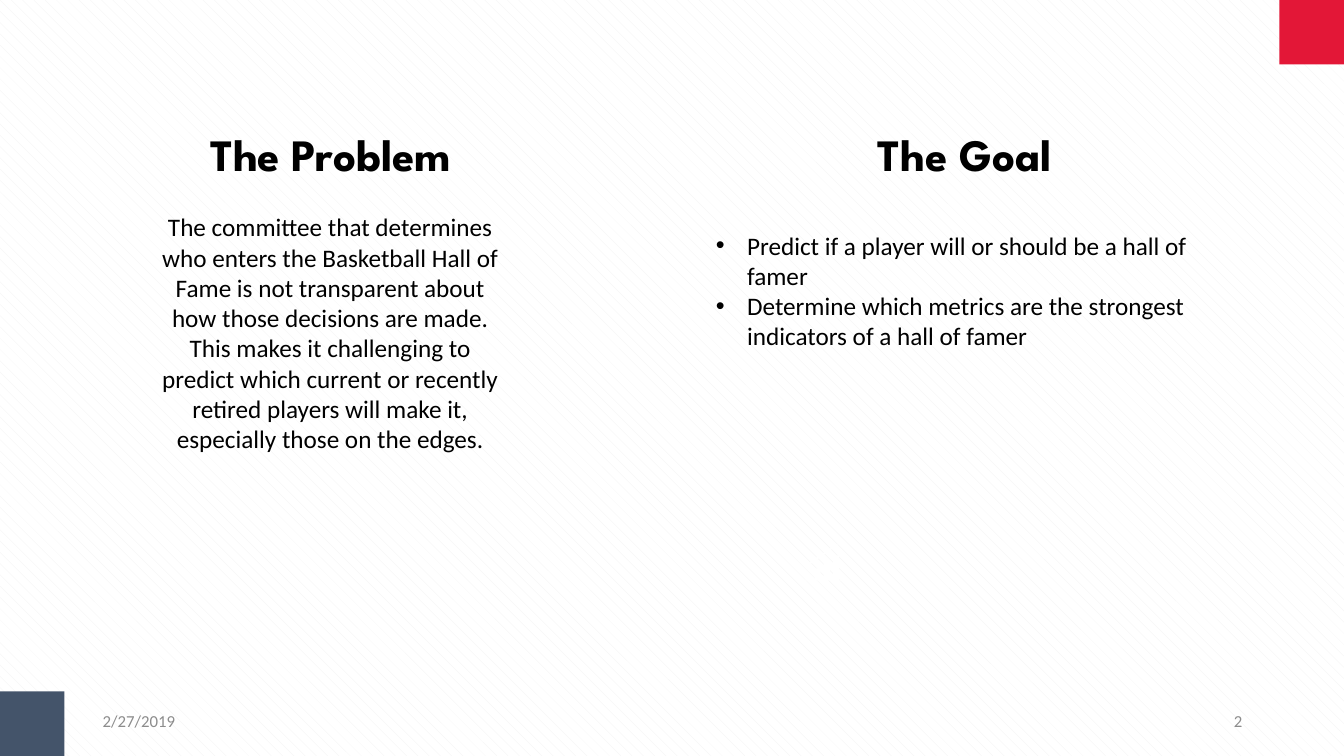
import pptx
import pptx.dml.color
import pptx.enum.dml
import pptx.enum.shapes
import pptx.enum.text
import pptx.oxml
import pptx.oxml.ns
import pptx.util
from dataclasses import dataclass

Inches = pptx.util.Inches
ALIGN = pptx.enum.text.PP_ALIGN
ANCHOR = pptx.enum.text.MSO_ANCHOR

PROBLEM = (
    "The committee that determines who enters the Basketball Hall of Fame is not "
    "transparent about how those decisions are made. This makes it challenging to "
    "predict which current or recently retired players will make it, especially "
    "those on the edges."
)
GOALS = [
    "Predict if a player will or should be a hall of famer",
    "Determine which metrics are the strongest indicators of a hall of famer",
]
# Placeholder index, left, heading
HEADINGS = [(0, 1.67, "The Problem"), (3, 7.96, "The Goal")]
# Placeholder index, (left, top, width, height), paragraphs, bulleted
BODIES = [
    (2, (1.6, 2.1, 3.35, 2.42), [PROBLEM], False),
    (4, (7.1, 2.28, 4.94, 1.21), GOALS, True),
]
FOOTERS = [(0.92, "2/27/2019", ALIGN.LEFT), (9.42, "2", ALIGN.RIGHT)]
SLIDE_WIDTH, SLIDE_HEIGHT = 13.33, 7.5
CORNER_SIZE = 0.64
BULLET_INDENT = 0.31

# Growth icon: a rising arrow above four bars on a baseline
ARROW = [
    (8.01, 5.6), (8.02, 5.61), (8.29, 5.42), (8.29, 5.47), (8.3, 5.47),
    (8.31, 5.4), (8.24, 5.4), (8.24, 5.41), (8.28, 5.41), (8.01, 5.59),
]
BAR_TOPS = [5.7, 5.64, 5.57, 5.51]
BAR_LEFT, BAR_WIDTH, BAR_STEP = 7.99, 0.06, 0.09
BASE_LEFT, BASE_RIGHT, BASE_TOP, BASE_BOTTOM = 7.97, 8.35, 5.75, 5.76


@dataclass(frozen=True)
class Theme:
    heading_font: str = "League Spartan"
    body_font: str = "Calibri"
    heading_size: int = 32
    body_size: int = 18
    footer_size: int = 12
    text: str = "000000"
    footer: str = "8C8C8C"
    red: str = "E31737"
    slate: str = "44546A"
    paper: str = "FFFFFF"
    hatch: str = "F2F2F2"


THEME = Theme()


def rgb(color):
    return pptx.dml.color.RGBColor.from_string(color)


def place(shape, left, top, width, height):
    shape.left, shape.top = Inches(left), Inches(top)
    shape.width, shape.height = Inches(width), Inches(height)


def paint(shape, color):
    shape.shadow.inherit = False
    shape.fill.solid()
    shape.fill.fore_color.rgb = rgb(color)
    shape.line.fill.background()


def set_frame(frame, anchor, margin=None):
    frame.word_wrap = True
    frame.auto_size = pptx.enum.text.MSO_AUTO_SIZE.NONE
    frame.vertical_anchor = anchor
    if margin is not None:
        frame.margin_left = frame.margin_right = Inches(margin)
        frame.margin_top = frame.margin_bottom = Inches(margin)


def set_bullet(paragraph, bulleted):
    """Give the paragraph a hanging bullet, or switch the inherited one off."""
    properties = paragraph._p.get_or_add_pPr()
    indent = Inches(BULLET_INDENT) if bulleted else 0
    properties.set("marL", str(indent))
    properties.set("indent", str(-indent))
    namespace = pptx.oxml.ns.nsdecls("a")
    markup = f'<a:buChar {namespace} char="•"/>' if bulleted else f"<a:buNone {namespace}/>"
    properties.append(pptx.oxml.parse_xml(markup))


def set_style(paragraph, font, size, color, alignment, bold=False):
    paragraph.alignment = alignment
    paragraph.space_before = pptx.util.Pt(0)
    paragraph.font.name = font
    paragraph.font.size = pptx.util.Pt(size)
    paragraph.font.bold = bold
    paragraph.font.color.rgb = rgb(color)


def set_background(slide):
    fill = slide.background.fill
    fill.patterned()
    fill.pattern = pptx.enum.dml.MSO_PATTERN.SHINGLE
    fill.fore_color.rgb = rgb(THEME.hatch)
    fill.back_color.rgb = rgb(THEME.paper)


def add_corner(slide, left, top, color):
    corner = slide.shapes.add_shape(
        pptx.enum.shapes.MSO_SHAPE.RECTANGLE,
        Inches(left), Inches(top), Inches(CORNER_SIZE), Inches(CORNER_SIZE),
    )
    paint(corner, color)


def bars_outline():
    """Trace the bars from left to right, then close along the baseline."""
    points = [(BASE_LEFT, BASE_TOP)]
    for number, top in enumerate(BAR_TOPS):
        left = BAR_LEFT + number * BAR_STEP
        right = left + BAR_WIDTH
        points += [(left, BASE_TOP), (left, top), (right, top), (right, BASE_TOP)]
    return points + [(BASE_RIGHT, BASE_TOP), (BASE_RIGHT, BASE_BOTTOM), (BASE_LEFT, BASE_BOTTOM)]


def add_outline(slide, points, color):
    start, *rest = [(Inches(x), Inches(y)) for x, y in points]
    builder = slide.shapes.build_freeform(*start)
    builder.add_line_segments(rest, close=True)
    paint(builder.convert_to_shape(), color)


def add_footer(slide, left, text, alignment):
    box = slide.shapes.add_textbox(Inches(left), Inches(6.95), Inches(3), Inches(0.4))
    set_frame(box.text_frame, ANCHOR.MIDDLE)
    paragraph = box.text_frame.paragraphs[0]
    paragraph.text = text
    set_style(paragraph, THEME.body_font, THEME.footer_size, THEME.footer, alignment)


def fill_heading(shape, left, text):
    place(shape, left, 1.25, 3.22, 0.54)
    set_frame(shape.text_frame, ANCHOR.MIDDLE, 0)
    paragraph = shape.text_frame.paragraphs[0]
    paragraph.text = text
    set_bullet(paragraph, False)
    set_style(paragraph, THEME.heading_font, THEME.heading_size, THEME.text,
              ALIGN.CENTER, bold=True)


def fill_body(shape, bounds, lines, bulleted):
    place(shape, *bounds)
    frame = shape.text_frame
    set_frame(frame, ANCHOR.TOP, 0)
    frame.text = "\n".join(lines)
    for paragraph in frame.paragraphs:
        set_bullet(paragraph, bulleted)
        set_style(paragraph, THEME.body_font, THEME.body_size, THEME.text,
                  ALIGN.LEFT if bulleted else ALIGN.CENTER)


def main():
    presentation = pptx.Presentation()
    presentation.slide_width = Inches(SLIDE_WIDTH)
    presentation.slide_height = Inches(SLIDE_HEIGHT)
    slide = presentation.slides.add_slide(presentation.slide_layouts.get_by_name("Comparison"))
    set_background(slide)

    placeholders = {shape.placeholder_format.idx: shape for shape in slide.placeholders}
    for index, left, text in HEADINGS:
        fill_heading(placeholders.pop(index), left, text)
    for index, bounds, lines, bulleted in BODIES:
        fill_body(placeholders.pop(index), bounds, lines, bulleted)
    for unused in placeholders.values():
        unused.element.getparent().remove(unused.element)

    add_corner(slide, SLIDE_WIDTH - CORNER_SIZE, 0, THEME.red)
    add_corner(slide, 0, SLIDE_HEIGHT - CORNER_SIZE, THEME.slate)
    for outline in (ARROW, bars_outline()):
        add_outline(slide, outline, THEME.paper)
    for left, text, alignment in FOOTERS:
        add_footer(slide, left, text, alignment)
    presentation.save("out.pptx")


if __name__ == "__main__":
    main()
